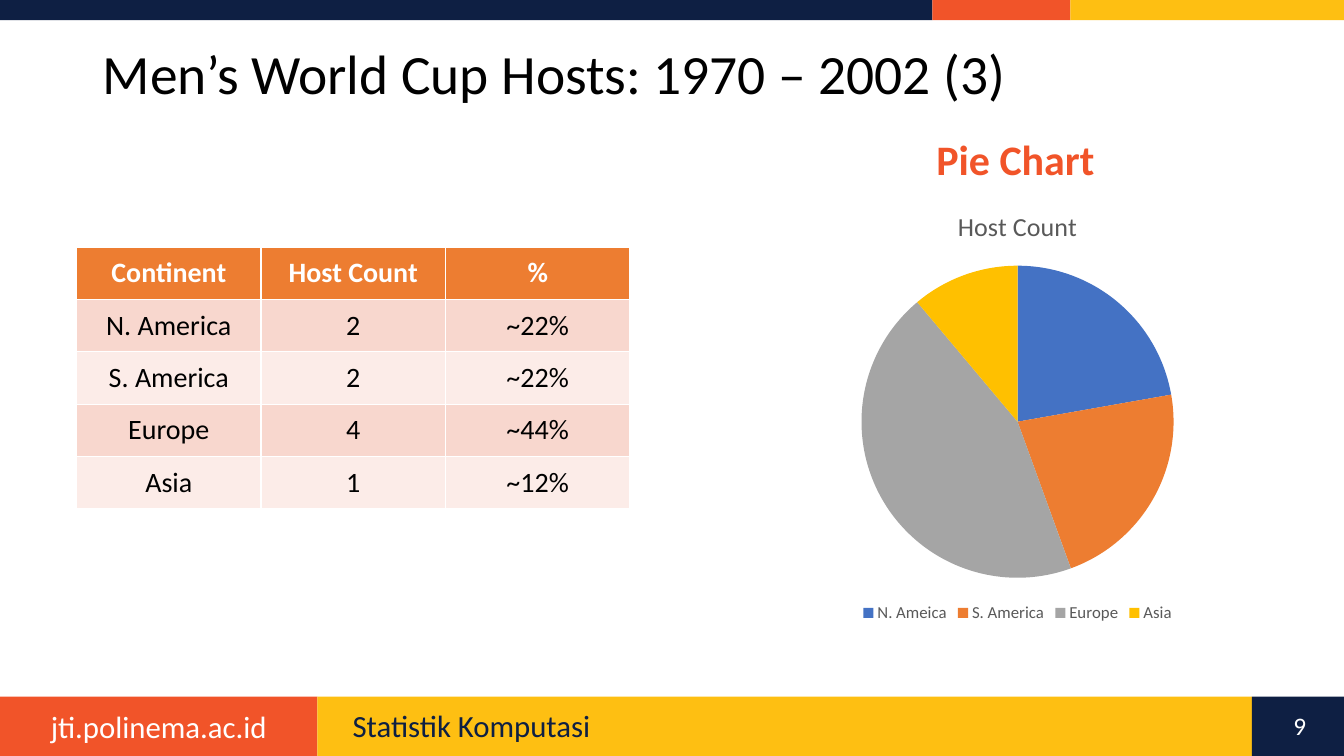
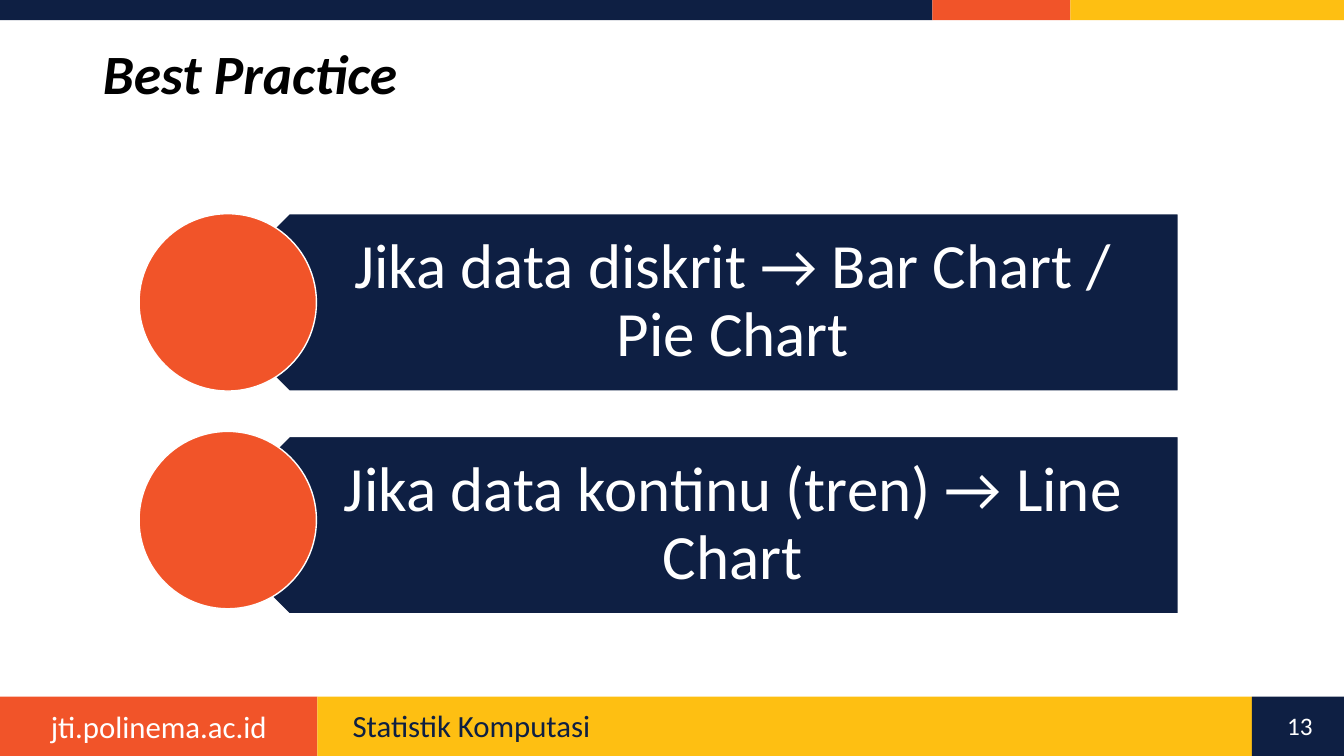
from pptx import Presentation
from pptx.chart.data import CategoryChartData
from pptx.dml.color import RGBColor
from pptx.enum.chart import XL_CHART_TYPE, XL_LEGEND_POSITION
from pptx.enum.shapes import MSO_SHAPE
from pptx.enum.text import MSO_ANCHOR, MSO_AUTO_SIZE, PP_ALIGN
from pptx.util import Pt

RECTANGLE, OVAL, PENTAGON = MSO_SHAPE.RECTANGLE, MSO_SHAPE.OVAL, MSO_SHAPE.PENTAGON
LEFT, CENTER = PP_ALIGN.LEFT, PP_ALIGN.CENTER
TOP, MIDDLE = MSO_ANCHOR.TOP, MSO_ANCHOR.MIDDLE
NO_FIT = MSO_AUTO_SIZE.NONE
PIE = XL_CHART_TYPE.PIE
BOTTOM = XL_LEGEND_POSITION.BOTTOM

FONT = "Calibri"
NAVY = RGBColor(0x0E, 0x1F, 0x43)
ORANGE = RGBColor(0xF1, 0x54, 0x29)
YELLOW = RGBColor(0xFE, 0xBF, 0x12)
WHITE = RGBColor(0xFF, 0xFF, 0xFF)
BLACK = RGBColor(0, 0, 0)
GRAY = RGBColor(0x59, 0x59, 0x59)
HEADER_FILL = RGBColor(0xED, 0x7D, 0x31)
ROW_FILLS = [RGBColor(0xFC, 0xEC, 0xE8), RGBColor(0xF8, 0xD7, 0xCE)]
SLICE_FILLS = [RGBColor(0x44, 0x72, 0xC4), HEADER_FILL,
               RGBColor(0xA5, 0xA5, 0xA5), RGBColor(0xFF, 0xC0, 0x00)]

WIDTH, HEIGHT = 960, 540
BANDS = [
    (0, 14.4, [(0, NAVY), (666, ORANGE), (764.64, YELLOW)]),
    (497.5, 42.5, [(0, ORANGE), (226.8, YELLOW), (894.24, NAVY)]),
]
SITE = "jti.polinema.ac.id"
COURSE = "Statistik Komputasi"

HOST_TITLE = "Men’s World Cup Hosts: 1970 – 2002 (3)"
HOST_ROWS = [
    ("Continent", "Host Count", "%"),
    ("N. America", "2", "~22%"),
    ("S. America", "2", "~22%"),
    ("Europe", "4", "~44%"),
    ("Asia", "1", "~12%"),
]
HOST_SHARES = {"N. Ameica": 22, "S. America": 22, "Europe": 44, "Asia": 11}

PRACTICES = [
    ("Jika data diskrit → Bar Chart / Pie Chart", 152.64, 152.64),
    ("Jika data kontinu (tren) → Line Chart", 311.76, 308.16),
]
BAR_HEIGHT = 126.72


def style_font(font, size, color, bold=False, italic=False):
    font.name = FONT
    font.size = Pt(size)
    font.color.rgb = color
    font.bold = bold
    font.italic = italic


def write(frame, text, size=20, color=BLACK, bold=False, italic=False,
          align=LEFT, spacing=1.0):
    para = frame.paragraphs[0]
    para.alignment = align
    para.line_spacing = spacing
    span = para.add_run()
    span.text = text
    style_font(span.font, size, color, bold, italic)


def add_text(page, text, left, top, width, height, anchor=TOP,
             insets=(7.2, 3.6, 7.2, 3.6), **style):
    box = page.shapes.add_textbox(Pt(left), Pt(top), Pt(width), Pt(height))
    frame = box.text_frame
    frame.word_wrap = True
    frame.vertical_anchor = anchor
    (frame.margin_left, frame.margin_top,
     frame.margin_right, frame.margin_bottom) = map(Pt, insets)
    write(frame, text, **style)


def add_block(page, kind, left, top, width, height, fill, outline=None):
    shape = page.shapes.add_shape(kind, Pt(left), Pt(top), Pt(width), Pt(height))
    shape.shadow.inherit = False
    shape.fill.solid()
    shape.fill.fore_color.rgb = fill
    if outline is None:
        shape.line.fill.background()
    else:
        shape.line.color.rgb = outline
        shape.line.width = Pt(1)
    return shape


def add_page(deck, title, number, **title_style):
    page = deck.slides.add_slide(deck.slide_layouts[5])
    for top, height, parts in BANDS:
        ends = [left for left, _ in parts[1:]] + [WIDTH]
        for (left, fill), end in zip(parts, ends):
            add_block(page, RECTANGLE, left, top, end - left, height, fill)
    add_text(page, SITE, 0, 501.84, 226.8, 33.84, size=22, color=WHITE, align=CENTER)
    add_text(page, COURSE, 244.8, 504, 629.28, 28.8, size=22, color=NAVY, spacing=0.9)
    add_text(page, str(number), 906.48, 504, 43.92, 28.8,
             size=18, color=WHITE, align=CENTER)
    heading = page.shapes.title
    heading.left, heading.top = Pt(66.24), Pt(28.8)
    heading.width, heading.height = Pt(737.28), Pt(52)
    heading.text_frame.auto_size = NO_FIT
    heading.text_frame.vertical_anchor = MIDDLE
    write(heading.text_frame, title, size=39.6, spacing=0.9, **title_style)
    return page


def add_host_table(page):
    row_height, column_width = 37.44, 131.76
    rows, columns = len(HOST_ROWS), len(HOST_ROWS[0])
    table = page.shapes.add_table(
        rows, columns, Pt(54.72), Pt(176.4),
        Pt(columns * column_width), Pt(rows * row_height)).table
    for r, values in enumerate(HOST_ROWS):
        header = r == 0
        for c, value in enumerate(values):
            cell = table.cell(r, c)
            cell.vertical_anchor = MIDDLE
            cell.fill.solid()
            cell.fill.fore_color.rgb = HEADER_FILL if header else ROW_FILLS[r % 2]
            write(cell.text_frame, value, color=WHITE if header else BLACK,
                  bold=header, align=CENTER)


def add_host_chart(page):
    data = CategoryChartData()
    data.categories = list(HOST_SHARES)
    data.add_series("Host Count", list(HOST_SHARES.values()))
    chart = page.shapes.add_chart(
        PIE, Pt(529.92), Pt(135.36), Pt(393.84), Pt(312.48), data).chart
    style_font(chart.font, 10, BLACK)
    chart.has_title = True
    write(chart.chart_title.text_frame, "Host Count", size=18.6, color=GRAY, align=CENTER)
    chart.chart_title.include_in_layout = False
    chart.has_legend = True
    chart.legend.position = BOTTOM
    chart.legend.include_in_layout = False
    style_font(chart.legend.font, 12, GRAY)
    plot = chart.plots[0]
    plot.vary_by_categories = True
    for index, fill in enumerate(SLICE_FILLS):
        slice_format = plot.series[0].points[index].format
        slice_format.fill.solid()
        slice_format.fill.fore_color.rgb = fill
        slice_format.line.fill.background()


def add_practice(page, text, bar_top, circle_top):
    bar = add_block(page, PENTAGON, 143.28, bar_top, 698.4, BAR_HEIGHT, NAVY, WHITE)
    bar.rotation = 180
    add_text(page, text, 174.96, bar_top, 666.72, BAR_HEIGHT, anchor=MIDDLE,
             insets=(55.44, 13.68, 25.2, 13.68), size=45, color=WHITE,
             align=CENTER, spacing=0.9)
    add_block(page, OVAL, 99.36, circle_top, BAR_HEIGHT, BAR_HEIGHT, ORANGE, WHITE)


def main():
    deck = Presentation()
    deck.slide_width, deck.slide_height = Pt(WIDTH), Pt(HEIGHT)

    hosts = add_page(deck, HOST_TITLE, 9)
    add_host_table(hosts)
    add_host_chart(hosts)
    add_text(hosts, "Pie Chart", 661.68, 92.16, 130.32, 43.92,
             size=30, color=ORANGE, bold=True)

    practice = add_page(deck, "Best Practice", 13, bold=True, italic=True)
    for text, bar_top, circle_top in PRACTICES:
        add_practice(practice, text, bar_top, circle_top)

    deck.save("out.pptx")


if __name__ == "__main__":
    main()
